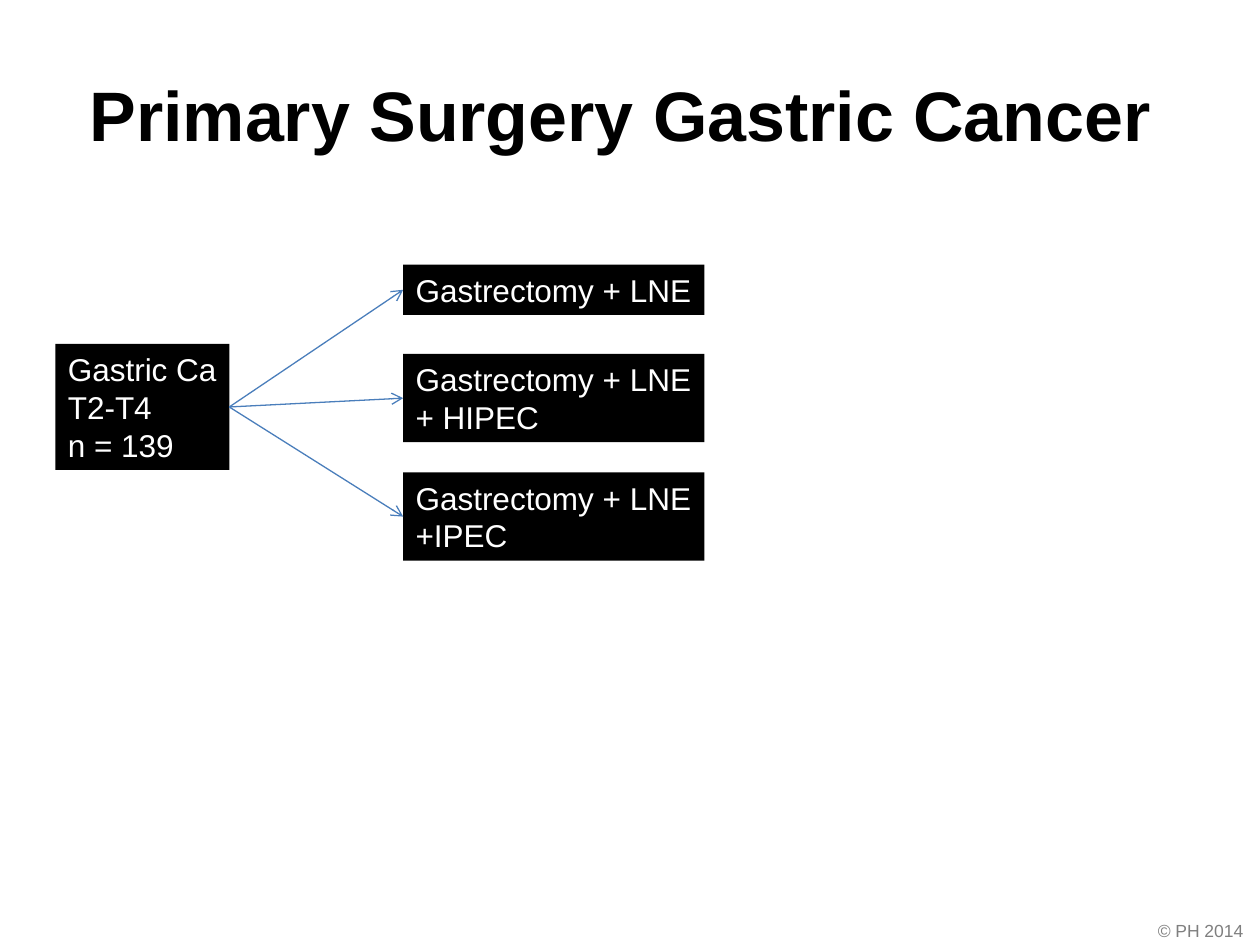
from dataclasses import dataclass

from lxml.etree import SubElement
from pptx import Presentation
from pptx.dml.color import RGBColor as RGB
from pptx.enum.shapes import MSO_CONNECTOR as Connector, MSO_SHAPE as Shape
from pptx.enum.text import MSO_ANCHOR as Anchor, PP_ALIGN as Align
from pptx.oxml.ns import qn
from pptx.util import Inches, Pt


@dataclass(frozen=True)
class Theme:
    font: str = "Arial"
    ink: RGB = RGB(0x00, 0x00, 0x00)
    paper: RGB = RGB(0xFF, 0xFF, 0xFF)
    muted: RGB = RGB(0x7F, 0x7F, 0x7F)
    arrow: RGB = RGB(0x4A, 0x7E, 0xBB)
    title_size: int = 40
    body_size: int = 18
    footer_size: int = 10
    arrow_width: float = 0.75


class SlideBuilder:
    def __init__(self, slide, theme):
        self.slide = slide
        self.theme = theme

    def set_text(self, frame, text, size, color, bold=False, align=Align.LEFT):
        frame.text = text
        frame.vertical_anchor = Anchor.TOP
        for paragraph in frame.paragraphs:
            paragraph.alignment = align
            for run in paragraph.runs:
                run.font.name = self.theme.font
                run.font.size = Pt(size)
                run.font.bold = bold
                run.font.color.rgb = color

    def label(self, bounds, text, size, color, inset=0.05, **style):
        frame = self.slide.shapes.add_textbox(*map(Inches, bounds)).text_frame
        frame.word_wrap = True
        frame.margin_top = Inches(inset)
        self.set_text(frame, text, size, color, **style)

    def box(self, bounds, text):
        box = self.slide.shapes.add_shape(Shape.RECTANGLE, *map(Inches, bounds))
        box.shadow.inherit = False
        box.fill.solid()
        box.fill.fore_color.rgb = self.theme.ink
        box.line.fill.background()
        box.text_frame.word_wrap = False
        self.set_text(box.text_frame, text, self.theme.body_size, self.theme.paper)
        return box

    def arrow(self, source, target):
        arrow = self.slide.shapes.add_connector(Connector.STRAIGHT, 0, 0, 0, 0)
        arrow.begin_connect(source, 3)
        arrow.end_connect(target, 1)
        arrow.line.color.rgb = self.theme.arrow
        arrow.line.width = Pt(self.theme.arrow_width)
        properties = arrow._element.spPr
        SubElement(properties.find(qn("a:ln")), qn("a:tailEnd"), type="arrow")
        SubElement(properties, qn("a:effectLst"))


def main():
    deck = Presentation()
    deck.slide_width, deck.slide_height = Inches(10), Inches(7.5)
    theme = Theme()
    builder = SlideBuilder(deck.slides.add_slide(deck.slide_layouts[6]), theme)

    builder.label((9.09, 7.25, 0.91, 0.27), "© PH 2014", theme.footer_size, theme.muted)
    builder.label((0.5, 0.46, 9, 1.25), "Primary Surgery Gastric Cancer ",
                  theme.title_size, theme.ink, inset=0.11, bold=True, align=Align.CENTER)

    patients = builder.box((0.44, 2.73, 1.38, 1), "Gastric Ca\nT2-T4\nn = 139")
    treatments = [
        (2.1, 0.4, "Gastrectomy + LNE"),
        (2.81, 0.7, "Gastrectomy + LNE\n+ HIPEC"),
        (3.75, 0.7, "Gastrectomy + LNE\n+IPEC"),
    ]
    arms = [builder.box((3.2, top, 2.39, height), text) for top, height, text in treatments]
    for arm in arms:
        builder.arrow(patients, arm)

    deck.save("out.pptx")


if __name__ == "__main__":
    main()
